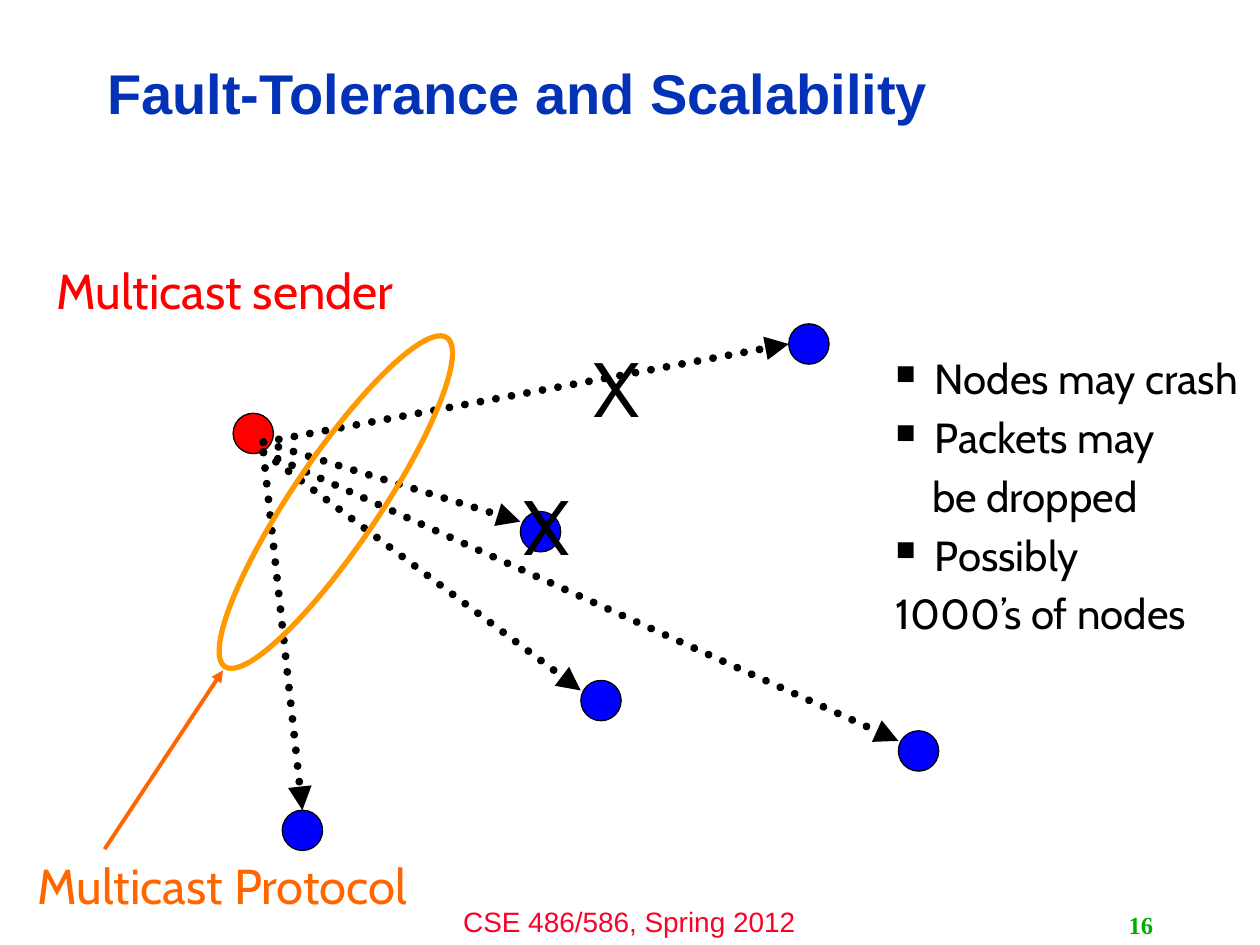
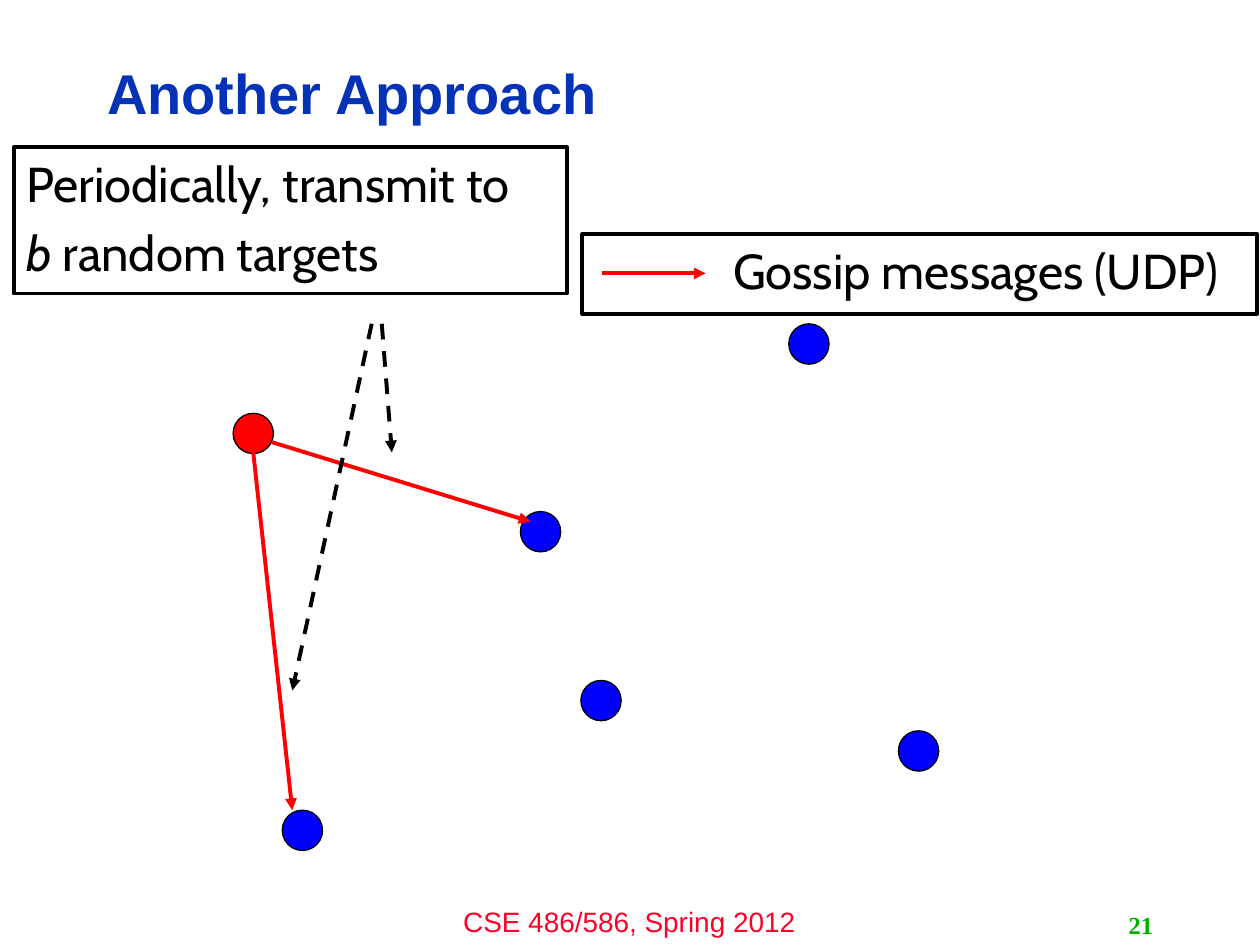
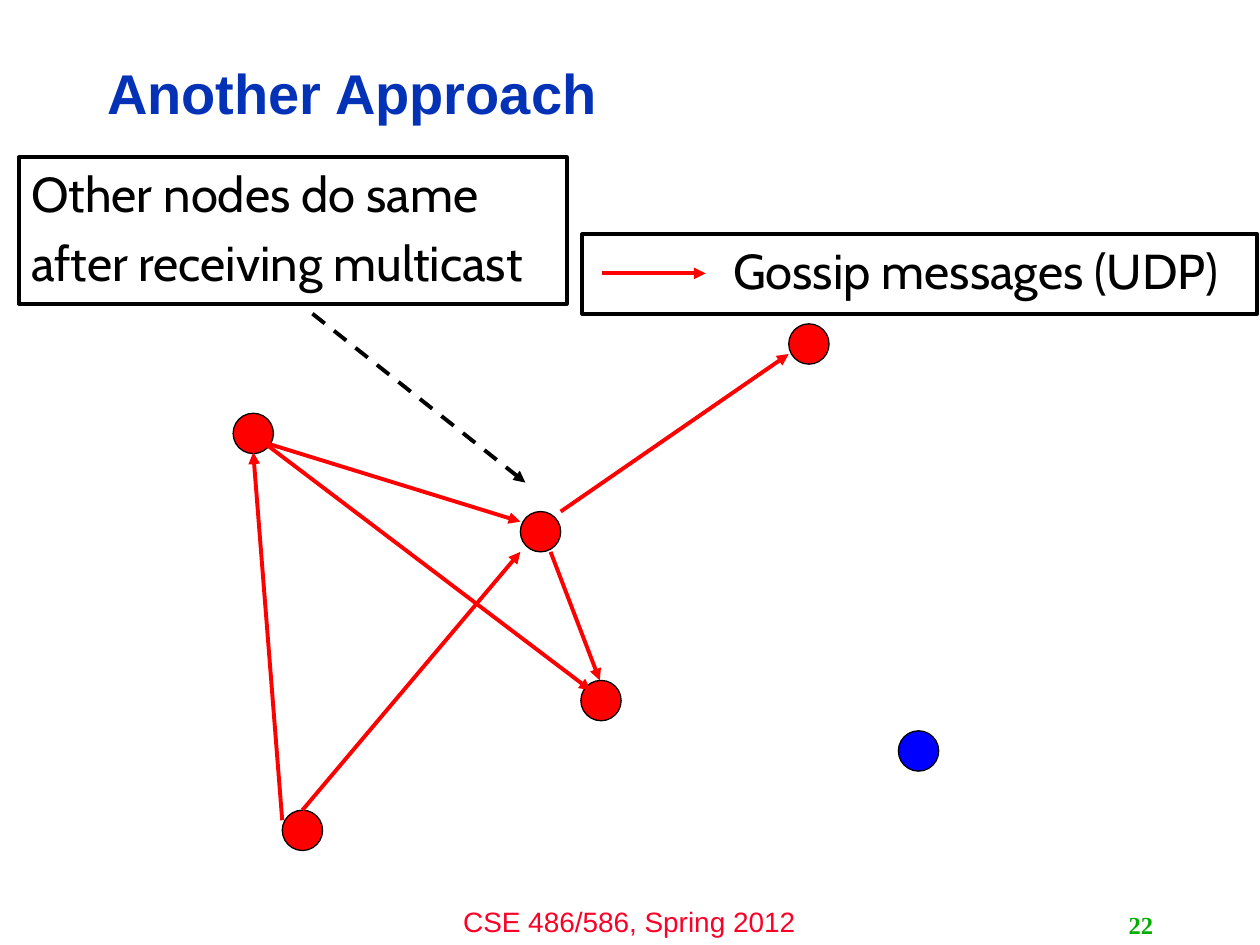
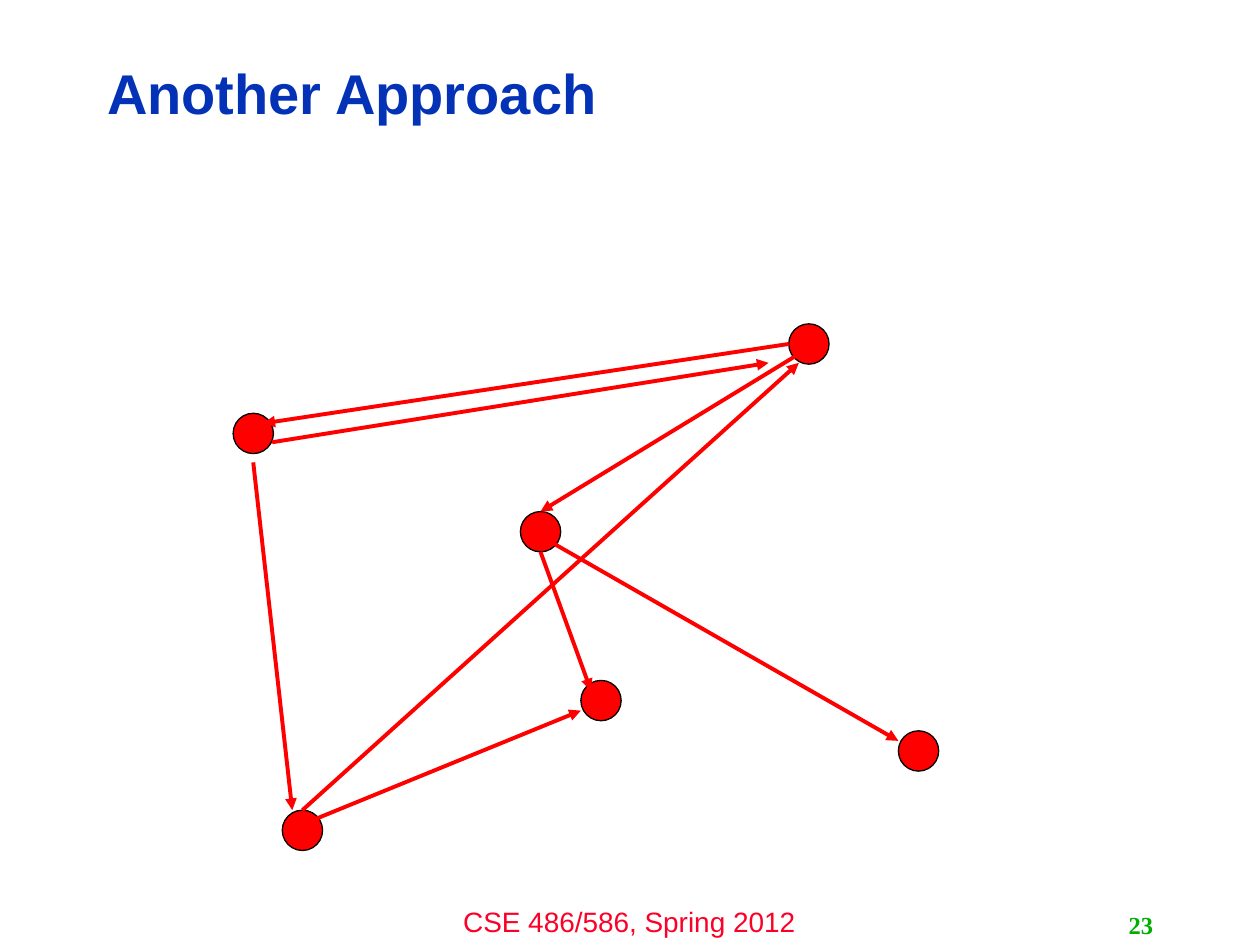
from lxml.etree import SubElement
from pptx import Presentation
from pptx.dml.color import RGBColor as RGB
from pptx.enum.dml import MSO_LINE as DASH
from pptx.enum.shapes import MSO_CONNECTOR as LINK, MSO_SHAPE as SHAPE
from pptx.enum.text import MSO_ANCHOR as ANCHOR, MSO_AUTO_SIZE as FIT, PP_ALIGN as ALIGN
from pptx.oxml.ns import qn
from pptx.util import Inches, Pt

HUES = {"title": "0332B7", "footer": "FC0128", "page": "00AE00", "black": "000000",
        "red": "FF0000", "blue": "0000FF", "orange": "FF6600", "ring": "FF9900"}
HUE = {name: RGB.from_string(code) for name, code in HUES.items()}
BODY = {"name": "Cabin", "size": Pt(28)}
ITEM = {"name": "Cabin", "size": Pt(24)}
CROSS = {"name": "Cabin", "size": Pt(44)}
TITLE = {"name": "Arial", "size": Pt(32), "bold": True}
FOOT = {"name": "Arial", "size": Pt(16)}
PAGE = {"name": "Times New Roman", "size": Pt(14), "bold": True}

SIZE = 0.32
NODES = {"sender": (1.85, 3.28), "low": (4.61, 5.4), "bottom": (2.24, 6.43),
         "right": (7.13, 5.8), "middle": (4.13, 4.06), "top": (6.26, 2.57)}

# title, page, red nodes, arrow style, arrows, note, pointers from the note
SOLID = ("red", 2.25, None)
DOTS = ("black", 4.5, DASH.ROUND_DOT)
DASHES = ("black", 2.25, DASH.DASH)
SLIDES = [
    ("Fault-Tolerance and Scalability", "16", ["sender"], DOTS,
     [(2.09, 3.59, 2.4, 6.43), (2.09, 3.59, 4.61, 5.48), (2.09, 3.51, 4.13, 4.14),
      (2.09, 3.51, 6.26, 2.73), (2.09, 3.59, 7.13, 5.88)], None, []),
    ("Another Approach", "21", ["sender"], SOLID,
     [(2.16, 3.51, 4.21, 4.14), (2.01, 3.59, 2.32, 6.43)],
     ((0.11, 1.17, 4.39, 1.16), ["Periodically, transmit to", "_b _random targets"]),
     [(3.03, 2.57, 3.11, 3.59), (2.95, 2.57, 2.32, 5.48)]),
    ("Another Approach", "22", ["sender", "low", "bottom", "middle", "top"], SOLID,
     [(4.45, 4.06, 6.26, 2.81), (2.4, 6.43, 4.13, 4.38), (2.24, 6.51, 2.01, 3.59),
      (2.09, 3.51, 4.13, 4.14), (2.09, 3.51, 4.69, 5.48), (4.37, 4.38, 4.76, 5.4)],
     ((0.15, 1.25, 4.35, 1.16), ["Other nodes do same", "after receiving multicast"]),
     [(2.48, 2.49, 4.17, 3.83)]),
    ("Another Approach", "23", list(NODES), SOLID,
     [(2.48, 6.51, 4.61, 5.64), (2.4, 6.43, 6.34, 2.88), (4.29, 4.38, 4.69, 5.48),
      (4.37, 4.3, 7.13, 5.88), (6.26, 2.73, 2.09, 3.36), (2.01, 3.67, 2.32, 6.43),
      (2.16, 3.51, 6.1, 2.88), (6.34, 2.81, 4.29, 4.06)], None, []),
]


def write(shape, lines, look, hue="black", align=ALIGN.LEFT, anchor=ANCHOR.TOP):
    """Fill a shape with paragraphs; text between underscores is italic."""
    frame = shape.text_frame
    frame.word_wrap, frame.auto_size, frame.vertical_anchor = True, FIT.NONE, anchor
    for row, line in enumerate(lines):
        para = frame.add_paragraph() if row else frame.paragraphs[0]
        para.alignment = align
        if row:
            para.space_before = Pt(round(look["size"].pt * 0.2, 1))
        for turn, part in enumerate(line.split("_")):
            if part:
                run = para.add_run()
                run.text = part
                for key, value in look.items():
                    setattr(run.font, key, value)
                run.font.color.rgb = HUE[hue]
                if turn % 2:
                    run.font.italic = True
    return frame.paragraphs


def arrow(shapes, ends, hue, width, dash):
    link = shapes.add_connector(LINK.STRAIGHT, *map(Inches, ends))
    link.line.color.rgb = HUE[hue]
    link.line.width = Pt(width)
    stroke = link.get_or_add_ln()
    if dash:
        link.line.dash_style = dash
    if dash == DASH.ROUND_DOT:
        stroke.set("cap", "rnd")
    SubElement(stroke, qn("a:tailEnd"), type="triangle")
    SubElement(link._element.spPr, qn("a:effectLst"))


deck = Presentation()
deck.slide_width, deck.slide_height = Inches(10), Inches(7.5)

for head, page, reds, style, arrows, note, hints in SLIDES:
    slide = deck.slides.add_slide(deck.slide_layouts[5])
    shapes = slide.shapes
    title = shapes.title
    title.left, title.top, title.width, title.height = map(Inches, (0.75, 0.36, 7.98, 0.81))
    write(title, [head], TITLE, "title", anchor=ANCHOR.MIDDLE)[0].line_spacing = 0.9
    foot = shapes.add_textbox(*map(Inches, (3.33, 7.13, 3.33, 0.37)))
    write(foot, ["CSE 486/586, Spring 2012"], FOOT, "footer", ALIGN.CENTER)
    box = shapes.add_textbox(*map(Inches, (7.17, 7.18, 2.08, 0.32)))
    write(box, [page], PAGE, "page", ALIGN.RIGHT, ANCHOR.MIDDLE)

    for name, spot in NODES.items():
        node = shapes.add_shape(SHAPE.OVAL, *map(Inches, (*spot, SIZE, SIZE)))
        node.shadow.inherit = False
        node.fill.solid()
        node.fill.fore_color.rgb = HUE["red" if name in reds else "blue"]
        node.line.color.rgb = HUE["black"]
        node.line.width = Pt(0.75)

    for ends in arrows:
        arrow(shapes, ends, *style)
    for ends in hints:
        arrow(shapes, ends, *DASHES)

    if note:
        spot, lines = note
        group = shapes.add_group_shape().shapes
        label = group.add_textbox(*map(Inches, (5.72, 1.86, 4.28, 0.57)))
        write(label, ["Gossip messages (UDP)"], BODY)
        arrow(group, (4.78, 2.17, 5.6, 2.17), *SOLID)
        panel = shapes.add_shape(SHAPE.RECTANGLE, *map(Inches, spot))
        write(panel, lines, BODY)
        border = group.add_shape(SHAPE.RECTANGLE, *map(Inches, (4.62, 1.86, 5.36, 0.63)))
        for rect in (panel, border):
            rect.shadow.inherit = False
            rect.fill.background()
            rect.line.color.rgb = HUE["black"]
            rect.line.width = Pt(2.25)

# Labels, protocol ring and failures on the first slide
shapes = deck.slides[0].shapes
for text, hue, spot in [("Multicast sender", "red", (0.35, 2.02, 3.02, 0.57)),
                        ("Multicast Protocol", "orange", (0.2, 6.74, 3.22, 0.57))]:
    write(shapes.add_textbox(*map(Inches, spot)), [text], BODY, hue)
arrow(shapes, (0.83, 6.74, 1.77, 5.32), "orange", 2.25, None)
ring = shapes.add_shape(SHAPE.OVAL, *map(Inches, (1.09, 3.64, 3.15, 0.69)))
ring.rotation = 304
ring.shadow.inherit = False
ring.fill.background()
ring.line.color.rgb = HUE["ring"]
ring.line.width = Pt(3)

ITEMS = [("Nodes may crash", 0.31, True), ("Packets may", 0.31, True),
         ("be dropped", 0.29, False), ("Possibly", 0.31, True),
         ("1000’s of nodes", 0, False)]
box = shapes.add_textbox(*map(Inches, (7.01, 2.75, 2.98, 2.93)))
paras = write(box, [text for text, *_ in ITEMS], ITEM)
for para, (_, inset, mark) in zip(paras, ITEMS):
    props = para._p.get_or_add_pPr()
    props.set("marL", str(Inches(inset)))
    props.set("indent", str(-Inches(inset) if mark else 0))
    if mark:
        SubElement(props, qn("a:buSzPct"), val="65000")
        SubElement(props, qn("a:buChar"), char="■")

for left, top in [(4.61, 2.65), (4.06, 3.75)]:
    box = shapes.add_textbox(*map(Inches, (left, top, 0.55, 0.83)))
    write(box, ["X"], CROSS, align=ALIGN.CENTER)

deck.save("out.pptx")
